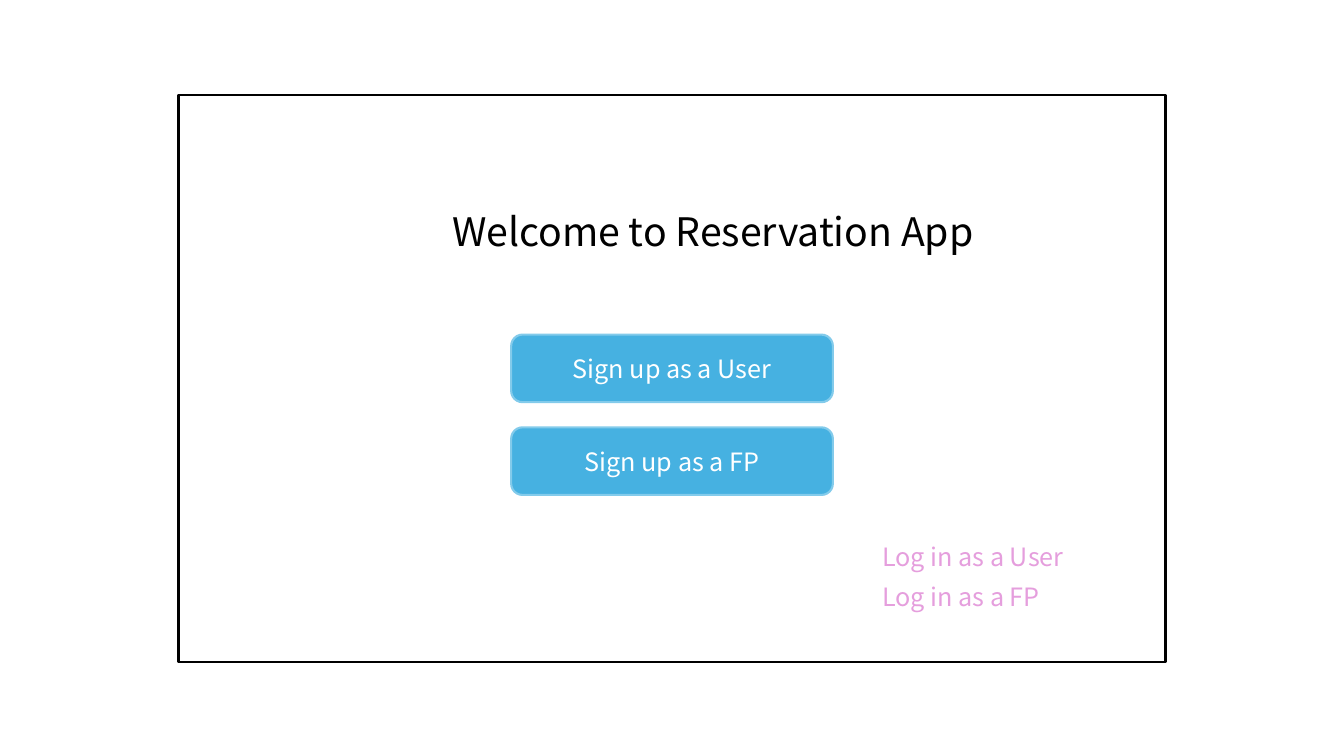
from pptx import Presentation
from pptx import util as u
from pptx.dml import color
from pptx.enum import shapes, text


def rgb(value):
    return color.RGBColor.from_string(value)


class WelcomePage:
    FONT = "Noto Sans CJK JP"
    BLACK, WHITE = "000000", "FFFFFF"
    BLUE, LIGHT_BLUE, PINK = "46B1E1", "83CBEB", "E59EDD"
    LINE_WIDTH = 1.5

    def __init__(self, deck):
        # Layout 5 holds only a title
        self.page = deck.slides.add_slide(deck.slide_layouts[5])

    def set_words(self, box, words, size, ink, align):
        box.text_frame.text = words
        para = box.text_frame.paragraphs[0]
        para.alignment = align
        for span in para.runs:
            span.font.name = self.FONT
            span.font.size = u.Pt(size)
            span.font.color.rgb = rgb(ink)

    def fit(self, box):
        frame = box.text_frame
        frame.word_wrap = False
        frame.auto_size = text.MSO_AUTO_SIZE.SHAPE_TO_FIT_TEXT
        frame.vertical_anchor = text.MSO_ANCHOR.TOP

    def title(self, words, left, top, width, height):
        box = self.page.shapes.title
        box.left, box.top = u.Inches(left), u.Inches(top)
        box.width, box.height = u.Inches(width), u.Inches(height)
        self.set_words(box, words, 28, self.BLACK, text.PP_ALIGN.CENTER)
        self.fit(box)

    def shape(self, kind, left, top, width, height, line, fill=None):
        shape = self.page.shapes.add_shape(
            kind, u.Inches(left), u.Inches(top), u.Inches(width), u.Inches(height))
        shape.shadow.inherit = False
        shape.line.color.rgb = rgb(line)
        shape.line.width = u.Pt(self.LINE_WIDTH)
        if fill:
            shape.fill.solid()
            shape.fill.fore_color.rgb = rgb(fill)
        else:
            shape.fill.background()
        return shape

    def frame(self, left, top, width, height):
        self.shape(shapes.MSO_SHAPE.RECTANGLE, left, top, width, height, self.BLACK)

    def button(self, words, left, top, width, height):
        button = self.shape(shapes.MSO_SHAPE.ROUNDED_RECTANGLE, left, top,
                            width, height, self.LIGHT_BLUE, self.BLUE)
        self.set_words(button, words, 18, self.WHITE, text.PP_ALIGN.CENTER)
        button.text_frame.vertical_anchor = text.MSO_ANCHOR.MIDDLE

    def login(self, words, left, top, width, height):
        box = self.page.shapes.add_textbox(
            u.Inches(left), u.Inches(top), u.Inches(width), u.Inches(height))
        self.set_words(box, words, 18, self.PINK, text.PP_ALIGN.LEFT)
        self.fit(box)


def main():
    deck = Presentation()
    deck.slide_width, deck.slide_height = u.Inches(13.33), u.Inches(7.5)
    welcome = WelcomePage(deck)

    # App window and heading
    welcome.frame(1.77, 0.94, 9.79, 5.63)
    welcome.title("Welcome to Reservation App", 4.36, 2.01, 5.42, 0.57)

    # Sign-up buttons and log-in texts, one row per role
    for row, (role, login_width) in enumerate([("User", 2.09), ("FP", 1.86)]):
        welcome.button(f"Sign up as a {role}", 5.07, 3.32 + 0.92 * row, 3.19, 0.67)
        welcome.login(f"Log in as a {role}", 8.65, 5.32 + 0.4 * row, login_width, 0.4)

    deck.save("out.pptx")


if __name__ == "__main__":
    main()
